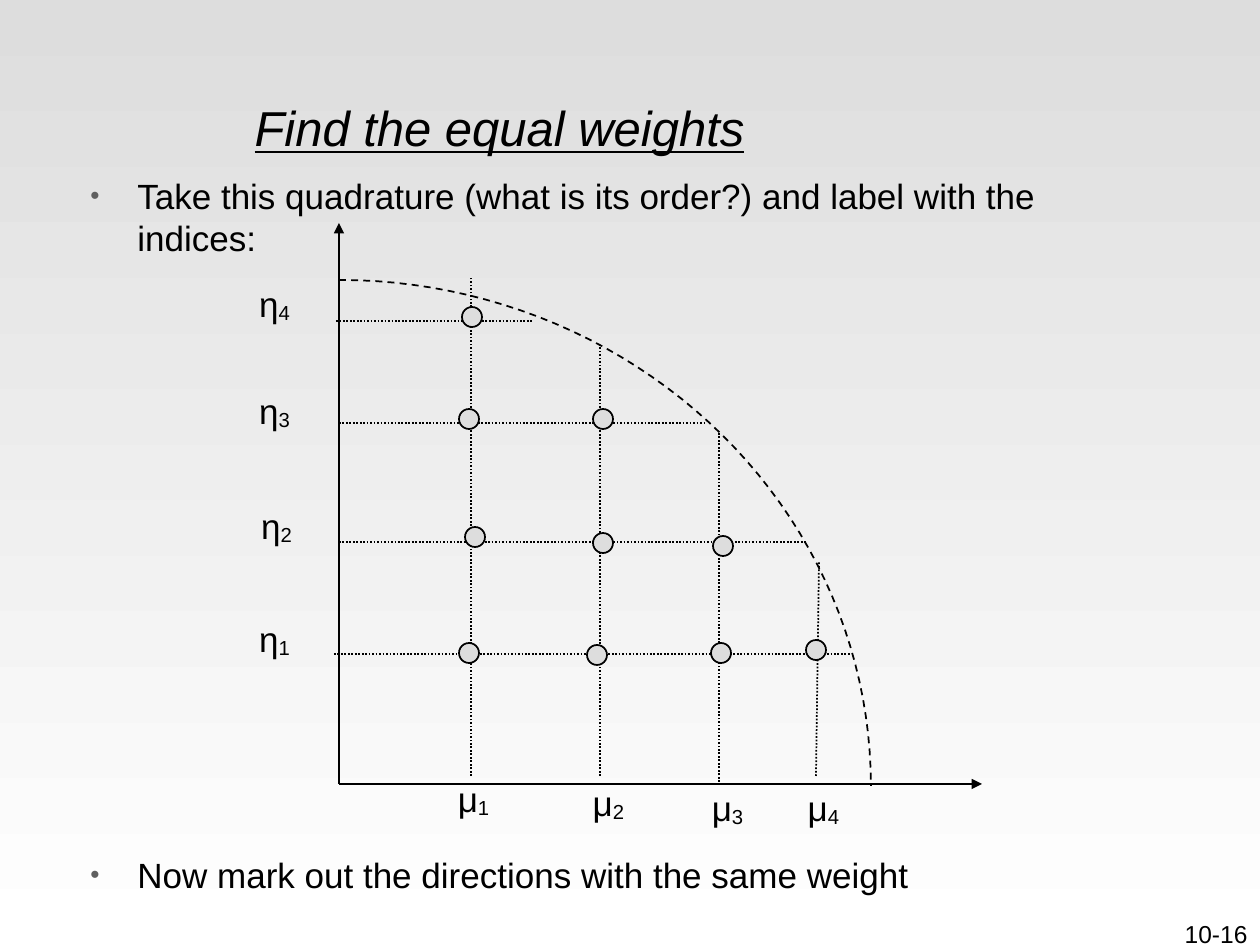
import math
from lxml import etree
from pptx import Presentation
from pptx.dml.color import RGBColor
from pptx.enum.dml import MSO_LINE
from pptx.enum.shapes import MSO_CONNECTOR, MSO_SHAPE
from pptx.enum.text import MSO_ANCHOR, PP_ALIGN
from pptx.oxml.ns import qn
from pptx.util import Emu, Pt

TITLE = "Find the equal weights"
BULLETS = [
    ("Take this quadrature (what is its order?) and label with the indices:", 0),
    ("Now mark out the directions with the same weight", 340),
]
PAGE = "10-16"
AXES = [(339, 784, 982, 784), (339, 784, 339, 223)]
ARC_CENTER, ARC_RADII = (339, 786), (532, 506)
GRID = [
    (334, 654, 850, 654), (339, 542, 806, 542),
    (339, 423, 704, 423), (336, 321, 532, 321),
    (471, 776, 471, 277), (600, 776, 600, 345),
    (719, 782, 719, 432), (816, 776, 819, 562),
]
DOTS = [
    (469, 653), (475, 537), (469, 419), (472, 317),
    (597, 655), (603, 543), (603, 419),
    (721, 653), (723, 546), (816, 650),
]
DOT_SIZE = 20
LABELS = {
    "μ": [(426, 771), (561, 775), (680, 780), (776, 780)],
    "η": [(227, 611), (229, 498), (227, 383), (227, 276)],
}
LABEL_SIZE = (95, 88)

FONT = "Arial"
BLACK = RGBColor(0x00, 0x00, 0x00)
WHITE = RGBColor(0xFF, 0xFF, 0xFF)
GRAY = RGBColor(0xDD, 0xDD, 0xDD)
BULLET_GRAY = RGBColor(0x5F, 0x5F, 0x5F)


def px(n):
    return Emu(round(n * 914400 / 126))


def add_run(paragraph, text, size):
    run = paragraph.add_run()
    run.text = text
    run.font.name, run.font.size = FONT, Pt(size)
    run.font.color.rgb = BLACK
    return run


def add_text_box(x, y, width, height, wrap=True):
    frame = slide.shapes.add_textbox(px(x), px(y), px(width), px(height)).text_frame
    frame.word_wrap = wrap
    return frame


def style_line(line, dash=None):
    line.color.rgb, line.width = BLACK, Pt(1)
    if dash:
        line.dash_style = dash


def add_line(ends, dash=None, arrow=False):
    connector = slide.shapes.add_connector(MSO_CONNECTOR.STRAIGHT, *map(px, ends))
    style_line(connector.line, dash)
    if arrow:
        etree.SubElement(connector.line._get_or_add_ln(), qn("a:tailEnd"), type="triangle")
    etree.SubElement(connector._element.spPr, qn("a:effectLst"))


def add_bullet(paragraph):
    properties = paragraph._p.get_or_add_pPr()
    properties.set("marL", str(px(47)))
    properties.set("indent", str(-px(47)))
    color = etree.SubElement(properties, qn("a:buClr"))
    etree.SubElement(color, qn("a:srgbClr"), val=str(BULLET_GRAY))
    etree.SubElement(properties, qn("a:buSzPct"), val="75000")
    etree.SubElement(properties, qn("a:buFont"), typeface=FONT)
    etree.SubElement(properties, qn("a:buChar"), char="•")


prs = Presentation()
prs.slide_width, prs.slide_height = px(1260), px(945)
slide = prs.slides.add_slide(prs.slide_layouts[5])

background = slide.background.fill
background.gradient()
background.gradient_angle = 270
for stop, color in zip(background.gradient_stops, (GRAY, WHITE)):
    stop.color.rgb = color

title = slide.shapes.title
title.left, title.top, title.width, title.height = map(px, (242, 48, 987, 158))
title.text_frame.vertical_anchor = MSO_ANCHOR.MIDDLE
heading = title.text_frame.paragraphs[0]
heading.alignment = PP_ALIGN.LEFT
heading_font = add_run(heading, TITLE, 28).font
heading_font.italic = heading_font.underline = True

page = add_text_box(998, 913, 262, 63).paragraphs[0]
page.alignment = PP_ALIGN.RIGHT
add_run(page, PAGE, 14)

body = add_text_box(78, 168, 1094, 777)
for i, (text, gap) in enumerate(BULLETS):
    paragraph = body.add_paragraph() if i else body.paragraphs[0]
    paragraph.space_before = Pt(gap)
    add_bullet(paragraph)
    add_run(paragraph, text, 20)

for axis in AXES:
    add_line(axis, arrow=True)

arc_points = [
    tuple(px(c + r * f) for c, r, f in zip(ARC_CENTER, ARC_RADII, (math.sin(a), -math.cos(a))))
    for a in (math.radians(d) for d in range(0, 91, 2))
]
builder = slide.shapes.build_freeform(*arc_points[0])
builder.add_line_segments(arc_points[1:], close=False)
arc = builder.convert_to_shape()
arc.shadow.inherit = False
arc.fill.background()
style_line(arc.line, MSO_LINE.DASH)

for ends in GRID:
    add_line(ends, MSO_LINE.ROUND_DOT)

for x, y in DOTS:
    dot = slide.shapes.add_shape(
        MSO_SHAPE.OVAL, px(x - DOT_SIZE / 2), px(y - DOT_SIZE / 2), px(DOT_SIZE), px(DOT_SIZE))
    dot.shadow.inherit = False
    dot.fill.solid()
    dot.fill.fore_color.rgb = GRAY
    style_line(dot.line)

for symbol, places in LABELS.items():
    for index, (x, y) in enumerate(places, 1):
        label = add_text_box(x, y, *LABEL_SIZE, wrap=False).paragraphs[0]
        label.alignment = PP_ALIGN.CENTER
        add_run(label, symbol, 20)
        subscript = add_run(label, str(index), 20)
        subscript._r.get_or_add_rPr().set("baseline", "-10000")

prs.save("out.pptx")
